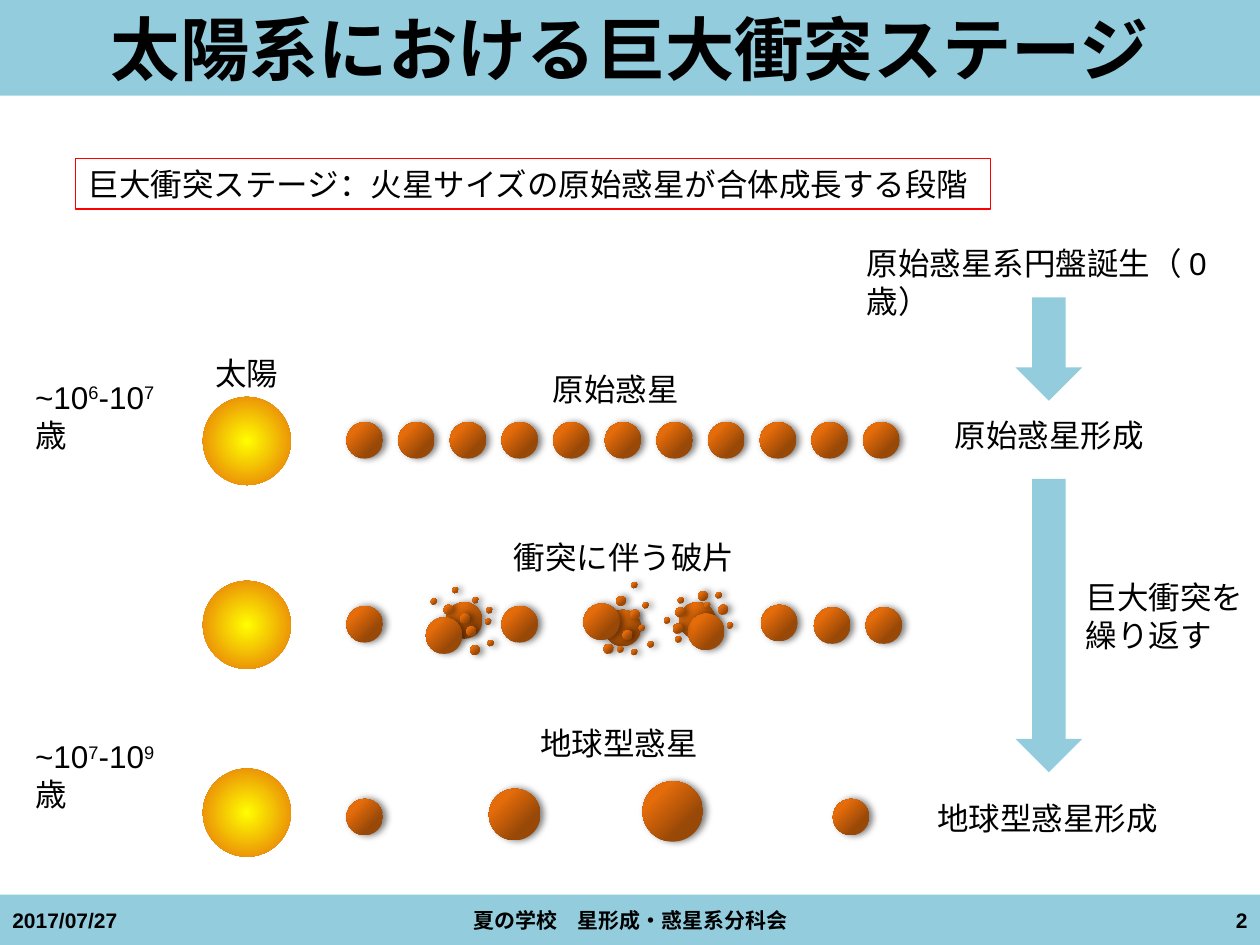
from lxml import etree
from pptx import Presentation
from pptx.dml.color import RGBColor
from pptx.enum.shapes import MSO_SHAPE
from pptx.enum.text import MSO_ANCHOR, MSO_AUTO_SIZE, PP_ALIGN
from pptx.oxml import parse_xml
from pptx.util import Inches, Pt

LEFT, CENTER, RIGHT = PP_ALIGN.LEFT, PP_ALIGN.CENTER, PP_ALIGN.RIGHT
TOP, MIDDLE = MSO_ANCHOR.TOP, MSO_ANCHOR.MIDDLE
RECTANGLE, OVAL, DOWN_ARROW = MSO_SHAPE.RECTANGLE, MSO_SHAPE.OVAL, MSO_SHAPE.DOWN_ARROW
FIT_SHAPE, NO_FIT = MSO_AUTO_SIZE.SHAPE_TO_FIT_TEXT, MSO_AUTO_SIZE.NONE
NS = 'xmlns:a="http://schemas.openxmlformats.org/drawingml/2006/main"'
WIDTH, HEIGHT = 10, 7.5
BAND, BLACK, RED = "93CDDD", "000000", "FF0000"
SUN_SIZE, PLANET_SIZE = 0.7, 0.29
SUN_LEFT, FIRST_PLANET, PLANET_STEP = 1.61, 2.75, 0.41
SUN_STOPS = [(0, "FFFF00"), (100, "E46C0A")]
ROCK_STOPS = [(32, "E46C0A"), (65, "984807")]

presentation = Presentation()
presentation.slide_width, presentation.slide_height = Inches(WIDTH), Inches(HEIGHT)
slide = presentation.slides.add_slide(presentation.slide_layouts[5])
shapes = slide.shapes


def write(shape, *paragraphs, font="Cambria", size=18, bold=False, align=LEFT,
          anchor=TOP, wrap=False, fit=FIT_SHAPE):
    """Each paragraph is a list of runs; a leading ^ marks a superscript, ASCII is in Arial."""
    frame = shape.text_frame
    frame.word_wrap, frame.auto_size, frame.vertical_anchor = wrap, fit, anchor
    for index, runs in enumerate(paragraphs):
        paragraph = frame.add_paragraph() if index else frame.paragraphs[0]
        paragraph.alignment = align
        for text in runs:
            run = paragraph.add_run()
            run.text = text.lstrip("^")
            run.font.name = "Arial" if text.isascii() else font
            run.font.size, run.font.bold = Pt(size), bold
            run.font.color.rgb = RGBColor.from_string(BLACK)
            if text.startswith("^"):
                run.font._element.set("baseline", "30000")


def add_figure(kind, left, top, width, height, fill=None, line=None, stops=None, rock=False):
    """Preset shape with a solid fill, a radial gradient (stops) or none."""
    shape = shapes.add_shape(kind, *map(Inches, (left, top, width, height)))
    shape.shadow.inherit = False
    if line:
        shape.line.color.rgb = RGBColor.from_string(line)
        shape.line.width = Pt(0.75)
    else:
        shape.line.fill.background()
    if fill:
        shape.fill.solid()
        shape.fill.fore_color.rgb = RGBColor.from_string(fill)
    else:
        shape.fill.background()
    properties = shape.element.spPr
    if stops:
        colors = "".join(f'<a:gs pos="{share * 1000}"><a:srgbClr val="{color}"/></a:gs>'
                         for share, color in stops)
        focus = 'r="100000" b="100000"' if rock else 'l="50000" t="50000" r="50000" b="50000"'
        gradient = parse_xml(f'<a:gradFill {NS} rotWithShape="1"><a:gsLst>{colors}</a:gsLst>'
                             f'<a:path path="circle"><a:fillToRect {focus}/></a:path></a:gradFill>')
        properties.replace(properties.find("{*}noFill"), gradient)
    if rock:
        shape.rotation = 315
        effects = properties.find("{*}effectLst")
        effects.append(etree.fromstring(
            f'<a:outerShdw {NS} blurRad="50800" dist="22860" dir="0" rotWithShape="0">'
            '<a:srgbClr val="000000"><a:alpha val="50000"/></a:srgbClr></a:outerShdw>'))
    return shape


# Title and footer bands
title = shapes.title
for top, height in [(0, 0.76), (7.1, 0.41)]:
    title.element.addprevious(add_figure(RECTANGLE, 0, top, WIDTH, height, fill=BAND).element)
title.left, title.top, title.width, title.height = map(Inches, (0, 0, WIDTH, 0.76))
write(title, ["太陽系における巨大衝突ステージ"], font="Arial", size=39.6, bold=True,
      align=CENTER, anchor=MIDDLE, wrap=True, fit=NO_FIT)
for left, width, text, align in [(0, 2.33, "2017/07/27", LEFT),
                                 (3.42, 3.17, "夏の学校　星形成・惑星系分科会", CENTER),
                                 (7.67, 2.33, "2", RIGHT)]:
    footer = shapes.add_textbox(*map(Inches, (left, 7.1, width, 0.4)))
    write(footer, [text], size=12, bold=True, align=align, anchor=MIDDLE, wrap=True, fit=NO_FIT)

# Definition and timeline arrows
definition = add_figure(RECTANGLE, 0.6, 1.26, 7.26, 0.4, line=RED)
write(definition, ["巨大衝突ステージ：火星サイズの原始惑星が合体成長する段階"])
for top, height in [(2.36, 0.82), (3.8, 2.33)]:
    add_figure(DOWN_ARROW, 8.06, top, 0.53, height, fill=BAND)

# Suns, then rocks as (size, positions)
for top in (3.15, 4.61, 6.1):
    add_figure(OVAL, SUN_LEFT, top, SUN_SIZE, SUN_SIZE, stops=SUN_STOPS)
rocks = [
    # Protoplanets in an even row
    (PLANET_SIZE, [(FIRST_PLANET + PLANET_STEP * column, 3.35) for column in range(11)]),
    # Colliding protoplanets
    (PLANET_SIZE, [(2.75, 4.81), (3.54, 4.78), (3.38, 4.9), (3.98, 4.81), (4.8, 4.84),
                   (4.63, 4.79), (5.39, 4.78), (6.04, 4.8), (5.46, 4.87), (6.46, 4.82),
                   (6.87, 4.82)]),
    # Large fragments, one line per collision
    (0.08, [(3.65, 4.87), (3.7, 4.97), (3.73, 5.12), (3.52, 4.8),
            (4.89, 4.73), (5, 4.84), (4.94, 5), (4.79, 5.11),
            (5.34, 4.95), (5.36, 4.82), (5.54, 4.69), (5.7, 4.8)]),
    # Small fragments, one line per collision
    (0.05, [(3.59, 4.66), (3.42, 4.75), (3.75, 4.74), (3.87, 5.08), (3.85, 4.91), (3.86, 4.82),
            (5.01, 4.62), (5.1, 4.78), (5.01, 5.15), (5.14, 5.09), (5.07, 4.96), (4.9, 5.13),
            (5.59, 4.78), (5.77, 4.94), (5.38, 4.74), (5.27, 4.9), (5.36, 5.05), (5.68, 4.7)]),
    # Terrestrial planets
    (PLANET_SIZE, [(2.75, 6.34), (6.61, 6.34)]),
    (0.41, [(3.88, 6.26)]),
    (0.48, [(5.1, 6.2)]),
]
for size, positions in rocks:
    for left, top in positions:
        add_figure(OVAL, left, top, size, size, stops=ROCK_STOPS, rock=True)

# Labels
labels = [
    (1.61, 2.76, 0.71, [["太陽"]]),
    (4.29, 2.89, 1.21, [["原始惑星"]]),
    (3.98, 4.22, 1.97, [["衝突に伴う破片"]]),
    (4.19, 5.7, 1.46, [["地球型惑星"]]),
    (7.48, 3.25, 1.72, [["原始惑星形成"]]),
    (8.52, 4.54, 1.46, [["巨大衝突を"], ["繰り返す"]]),
    (6.78, 1.89, 3.4, [["原始惑星系円盤誕生（", "0", "歳）"]]),
    (7.34, 6.29, 1.97, [["地球型惑星形成"]]),
    (0.18, 2.95, 1.44, [["~10", "^6", "-10", "^7", "歳"]]),
    (0.18, 5.8, 1.44, [["~10", "^7", "-10", "^9", "歳"]]),
]
for left, top, width, paragraphs in labels:
    label = shapes.add_textbox(*map(Inches, (left, top, width, 0.4 * len(paragraphs))))
    write(label, *paragraphs, wrap=width == 3.4)

presentation.save("out.pptx")
